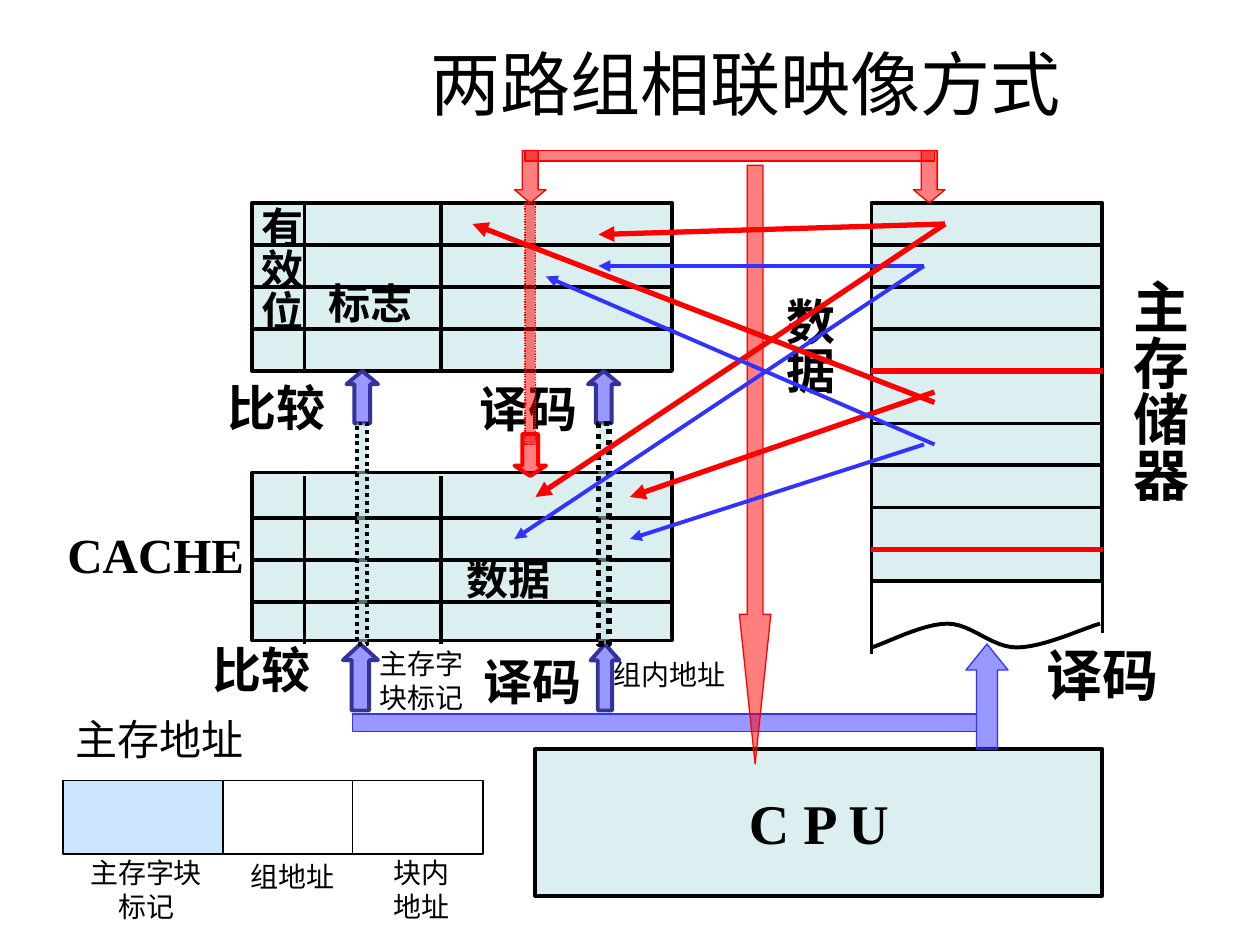
from lxml import etree
from pptx import Presentation
from pptx import util as u
from pptx.dml import color
from pptx.enum import dml, shapes, text
from pptx.oxml import ns

HUES = {"ink": "000000", "paper": "FFFFFF", "teal": "BBE0E3", "red": "FF0000",
        "blue": "3333FF", "navy": "333399", "sky": "99CCFF"}
KINDS = shapes.MSO_SHAPE
RECT, UP, DOWN = KINDS.RECTANGLE, KINDS.UP_ARROW, KINDS.DOWN_ARROW
ANCHOR = text.MSO_ANCHOR
MID, TOP, LOW = ANCHOR.MIDDLE, ANCHOR.TOP, ANCHOR.BOTTOM


class Board:
    def __init__(self, slide):
        self.slide = slide
        self.face = "Times New Roman"
        self.thick = 2.25
        self.thin = 0.75
        self.bold = 3
        self.alpha = 50

    def rgb(self, hue):
        return color.RGBColor.from_string(HUES[hue])

    def child(self, node, tag, **attrs):
        return etree.SubElement(node, ns.qn(tag), attrs)

    def stroke(self, item, hue, width, dots=False):
        item.line.color.rgb = self.rgb(hue)
        item.line.width = u.Pt(width)
        if dots:
            item.line.dash_style = dml.MSO_LINE.ROUND_DOT

    def letter(self, frame, words, size, bold, face=None):
        para = frame.paragraphs[0]
        para.alignment = text.PP_ALIGN.CENTER
        run = para.add_run()
        run.text = words
        run.font.name = face or self.face
        run.font.size = u.Pt(size)
        run.font.bold = bold
        run.font.color.rgb = self.rgb("ink")
        return para

    def shape(self, kind, area, fill, edge, width, point=None, dots=False, clear=True):
        item = self.slide.shapes.add_shape(kind, *map(u.Pt, area))
        item.shadow.inherit = False
        item.fill.solid()
        item.fill.fore_color.rgb = self.rgb(fill)
        if clear:
            tint = item._element.spPr.find(".//" + ns.qn("a:srgbClr"))
            self.child(tint, "a:alpha", val=str(self.alpha * 1000))
        self.stroke(item, edge, width, dots)
        if point:
            item.adjustments[1] = point
        return item

    def label(self, words, area, size, bold=True, anchor=MID, face=None):
        frame = self.slide.shapes.add_textbox(*map(u.Pt, area)).text_frame
        frame.word_wrap = True
        frame.vertical_anchor = anchor
        return self.letter(frame, words, size, bold, face)

    def column(self, words, area, size):
        item = self.slide.shapes.add_textbox(*map(u.Pt, area))
        frame = item.text_frame
        frame.word_wrap = False
        frame.vertical_anchor = MID
        frame.margin_left = frame.margin_right = u.Pt(3.6)
        frame.margin_top = frame.margin_bottom = u.Pt(7.2)
        item._element.txBody.bodyPr.set("vert", "eaVert")
        self.letter(frame, words, size, True)

    def wire(self, start, end, hue="ink", width=None, head=False):
        item = self.slide.shapes.add_connector(
            shapes.MSO_CONNECTOR.STRAIGHT, *map(u.Pt, (*start, *end)))
        self.stroke(item, hue, width or self.thick)
        props = item._element.spPr
        if head:
            self.child(props.find(ns.qn("a:ln")), "a:tailEnd", type="triangle")
        self.child(props, "a:effectLst")

    def curve(self, start, parts, steps=12):
        dots = []
        here = start
        for a, b, end in parts:
            for step in range(1, steps + 1):
                t = step / steps
                s = 1 - t
                dots.append(tuple(
                    u.Pt(s**3 * p + 3 * s * s * t * q + 3 * s * t * t * r + t**3 * e)
                    for p, q, r, e in zip(here, a, b, end)))
            here = end
        pen = self.slide.shapes.build_freeform(*map(u.Pt, start), scale=1.0)
        pen.add_line_segments(dots, close=False)
        item = pen.convert_to_shape()
        item.shadow.inherit = False
        item.fill.background()
        self.stroke(item, "ink", self.thick)

    def cache(self, top, base):
        self.shape(RECT, (144, top, 240, 96), "teal", "ink", self.thick)
        for row in range(1, 4):
            self.wire((144, base + 24 * row), (384, base + 24 * row))
        for x in (174, 252):
            self.wire((x, base), (x, base + 96))


def draw(board):
    thick, thin, bold = board.thick, board.thin, board.bold

    board.label("组内地址", (343, 372, 79, 27), 16, False, TOP)
    board.label("两路组相联映像方式", (190, 24.5, 472, 50), 40, False, LOW, "Arial")

    chip = board.shape(RECT, (306, 428, 324, 84), "teal", "ink", thick)
    chip.text_frame.word_wrap = False
    chip.text_frame.vertical_anchor = MID
    board.letter(chip.text_frame, "C P U", 32, True)

    board.shape(RECT, (498, 116, 132, 216), "teal", "ink", thick)
    board.cache(116, 116)
    for base in (116, 218):
        for row in range(1, 5):
            y = base + 24 * row
            hue, width = ("red", bold) if row == 4 else ("ink", thick)
            board.wire((498, y), (630, y), hue, width)
    board.curve((498, 370), [
        ((505.4, 368), (527, 356.4), (541.4, 356.4)),
        ((555.1, 356.4), (566.6, 370), (581, 370)),
        ((596, 370), (618.5, 359.3), (628.6, 356.4))])
    for x, y in ((498, 374), (630, 362)):
        board.wire((x, 332), (x, y))

    board.shape(UP, (552, 368, 24, 60), "blue", "blue", thin, 0.62)
    board.shape(RECT, (201.5, 408, 356.5, 10), "blue", "blue", thin)
    for x in (294, 522):
        board.shape(DOWN, (x, 86, 18, 30), "red", "red", thin, 0.42)
    board.shape(RECT, (300, 86, 234, 6), "red", "red", thin)
    board.shape(DOWN, (422.5, 94.5, 18, 342), "red", "red", thin, 4.75)

    board.column("数据", (438.5, 163, 47.5, 73.5), 28)
    board.column("有效位", (139, 111, 43, 79), 24)
    board.column("主存储器", (636.5, 152.5, 52.5, 135.5), 32)
    board.label("CACHE", (24, 296, 130, 41), 28)
    board.label("译码", (582, 362, 96, 46), 32)

    board.cache(270, 272)
    board.label("比较", (115, 212, 86.5, 41), 28)
    board.label("比较", (114, 362, 71, 41), 28)
    board.shape(UP, (196, 368, 20, 38), "blue", "navy", thick, 0.46)
    board.shape(UP, (337.5, 368, 16.5, 38), "blue", "navy", thick, 0.57)
    board.label("译码", (258, 212.5, 88, 41), 28)
    for x, width in ((198, thick), (336, bold)):
        board.shape(UP, (x, 212, 18, 30), "blue", "navy", thick, 0.42)
        board.shape(RECT, (x + 6, 242, 6, 126), "teal", "ink", width, dots=True)
    board.label("译码", (263.5, 368.5, 82, 41), 28)
    board.shape(DOWN, (294, 248, 18, 24), "red", "red", thick, 0.33)
    board.shape(RECT, (300, 116, 6, 138), "red", "red", thin, dots=True)

    routes = [
        ("blue", (528, 152), (342, 152)), ("blue", (528, 152), (294, 308)),
        ("red", (540, 128), (342, 134)), ("red", (540, 128), (306, 284)),
        ("red", (534, 230), (270, 128)), ("red", (534, 224), (360, 284)),
        ("blue", (534, 254), (312, 158)), ("blue", (528, 254), (360, 308))]
    for hue, start, end in routes:
        board.wire(start, end, hue, bold if hue == "red" else thick, True)

    board.label("标志", (180, 155, 63, 36), 24)
    board.label("数据", (259, 312.5, 63, 36), 24)

    board.shape(RECT, (127.5, 446, 148.5, 42), "paper", "ink", thin, clear=False)
    title = board.label("主存地址", (36, 404, 138, 36), 24, False, TOP)
    title.alignment = text.PP_ALIGN.LEFT
    board.shape(RECT, (36, 446, 91.5, 42), "sky", "ink", thin)
    board.wire((201.5, 446), (201.5, 488), "ink", thin)
    for words, area in (
            ("主存字块标记", (42.5, 485.5, 82, 46)),
            ("块内地址", (215.5, 485.5, 51, 46)),
            ("组地址", (124.5, 487.5, 85, 27)),
            ("主存字块标记", (206.5, 366, 68.5, 46))):
        board.label(words, area, 16, False, TOP)


def main():
    deck = Presentation()
    deck.slide_width, deck.slide_height = u.Pt(720), u.Pt(540)
    draw(Board(deck.slides.add_slide(deck.slide_layouts[6])))
    deck.save("out.pptx")


if __name__ == "__main__":
    main()
